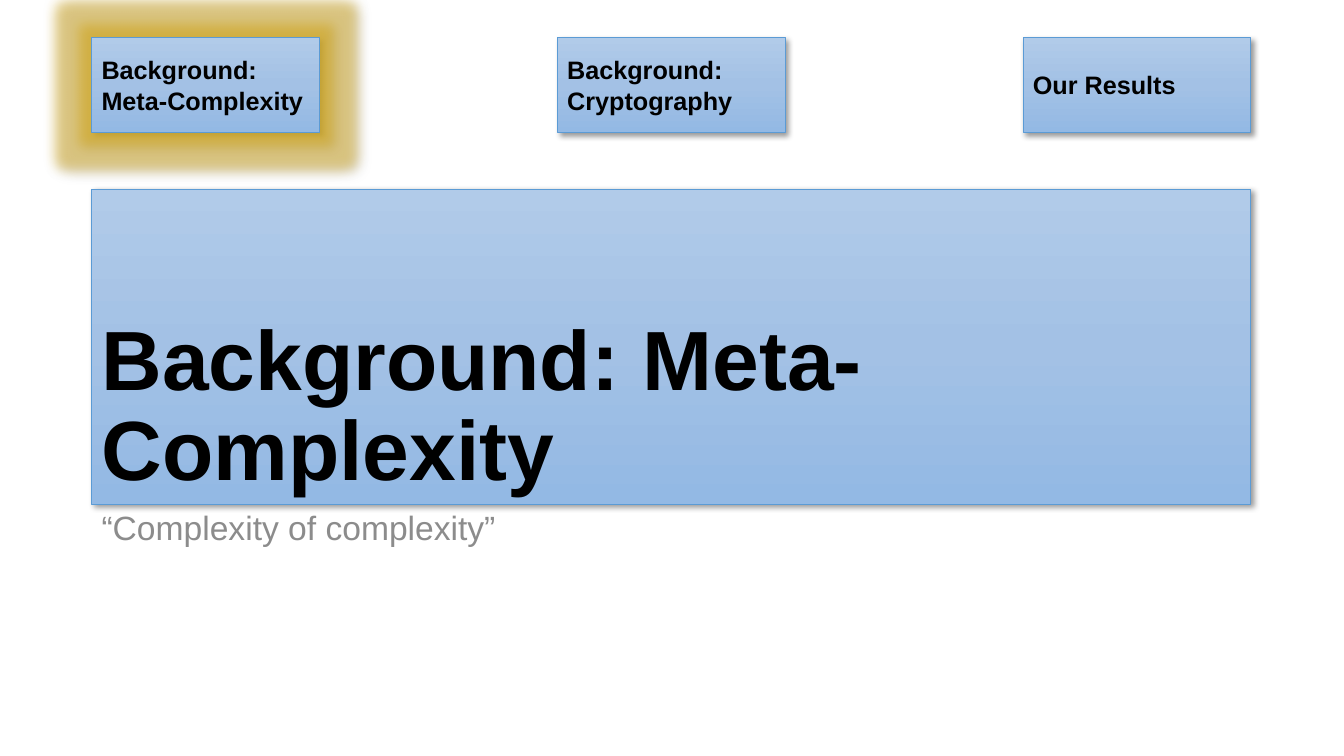
from copy import deepcopy
from dataclasses import dataclass

from lxml import etree
from pptx import Presentation
from pptx.dml.color import RGBColor
from pptx.enum.shapes import MSO_SHAPE
from pptx.enum.text import MSO_ANCHOR, PP_ALIGN
from pptx.oxml.ns import qn
from pptx.util import Cm, Pt

RECTANGLE = MSO_SHAPE.RECTANGLE
TOP, MIDDLE, BOTTOM = MSO_ANCHOR.TOP, MSO_ANCHOR.MIDDLE, MSO_ANCHOR.BOTTOM
LEFT = PP_ALIGN.LEFT
BLANK_LAYOUT = 6


@dataclass(frozen=True)
class Theme:
    """Colours, font and type sizes of the slide."""

    font: str = "Arial"
    text: str = "000000"
    muted: str = "8C8C8C"
    border: str = "5B9BD5"
    shadow: str = "000000"
    glow: str = "DCA800"
    gradient: tuple = ((0, "B1CBE9"), (0.5, "A3C1E5"), (1, "93B9E4"))
    title_size: int = 60
    subtitle_size: int = 24
    step_size: int = 18


THEME = Theme()
STEPS = ("Background: Meta-Complexity", "Background: Cryptography", "Our Results")
CURRENT_STEP = 0


def write_text(shape, text, size, color, anchor, bold=False, **spacing):
    """Write one left-aligned paragraph into a shape."""
    frame = shape.text_frame
    frame.word_wrap = True
    frame.vertical_anchor = anchor
    paragraph = frame.paragraphs[0]
    for name, value in {"alignment": LEFT, **spacing}.items():
        setattr(paragraph, name, value)
    run = paragraph.add_run()
    run.text = text
    for name, value in {"name": THEME.font, "size": Pt(size), "bold": bold}.items():
        setattr(run.font, name, value)
    run.font.color.rgb = RGBColor.from_string(color)


def add_effect(effects, kind, color, opacity, **attributes):
    """Append a coloured effect to an effect list."""
    effect = etree.SubElement(effects, qn(f"a:{kind}"))
    for name, value in attributes.items():
        effect.set(name, str(value))
    tint = etree.SubElement(effect, qn("a:srgbClr"), val=color)
    etree.SubElement(tint, qn("a:alpha"), val=str(opacity * 1000))


def add_panel(slide, box, glowing=False):
    """Add a gradient rectangle with a soft shadow and an optional glow."""
    shape = slide.shapes.add_shape(RECTANGLE, *map(Cm, box))
    shape.fill.gradient()
    shape.fill.gradient_angle = 270
    properties = shape._element.spPr
    first_stop = next(properties.iter(qn("a:gs")))
    first_stop.addnext(deepcopy(first_stop))
    for stop, (position, color) in zip(shape.fill.gradient_stops, THEME.gradient):
        stop.position = position
        stop.color.rgb = RGBColor.from_string(color)
    shape.line.color.rgb = RGBColor.from_string(THEME.border)
    shape.line.width = Pt(0.5)
    shape.shadow.inherit = False
    effects = properties.find(qn("a:effectLst"))
    if glowing:
        add_effect(effects, "glow", THEME.glow, 40, rad=Pt(18))
    add_effect(effects, "outerShdw", THEME.shadow, 40, blurRad=Pt(4), dist=Pt(3),
               dir=45 * 60000, algn="tl", rotWithShape=0)
    return shape


def add_progress(slide, left, top, width, height):
    """Spread the step boxes evenly across the given box."""
    step_width = 5.74
    pitch = (width - step_width) / (len(STEPS) - 1)
    for index, step in enumerate(STEPS):
        box = (left + index * pitch, top, step_width, height)
        panel = add_panel(slide, box, glowing=index == CURRENT_STEP)
        write_text(panel, step, THEME.step_size, THEME.text, MIDDLE, bold=True)


def add_heading(slide, left, top, width, height):
    """Place the title panel and, below it, the subtitle."""
    title_height, subtitle_top = 7.94, 8
    panel = add_panel(slide, (left, top, width, title_height))
    write_text(panel, "Background: Meta-Complexity", THEME.title_size, THEME.text,
               BOTTOM, bold=True, line_spacing=0.9)
    subtitle_box = (left, top + subtitle_top, width, height - subtitle_top)
    subtitle = slide.shapes.add_textbox(*map(Cm, subtitle_box))
    write_text(subtitle, "“Complexity of complexity”", THEME.subtitle_size,
               THEME.muted, TOP, line_spacing=0.9, space_before=Pt(10))


def main():
    """Build the section slide and save it."""
    presentation = Presentation()
    presentation.slide_width = Cm(33.87)
    presentation.slide_height = Cm(19.05)
    slide = presentation.slides.add_slide(presentation.slide_layouts[BLANK_LAYOUT])
    add_heading(slide, 2.31, 4.76, 29.21, 12.17)
    add_progress(slide, 2.31, 0.94, 29.21, 2.4)
    presentation.save("out.pptx")


if __name__ == "__main__":
    main()
